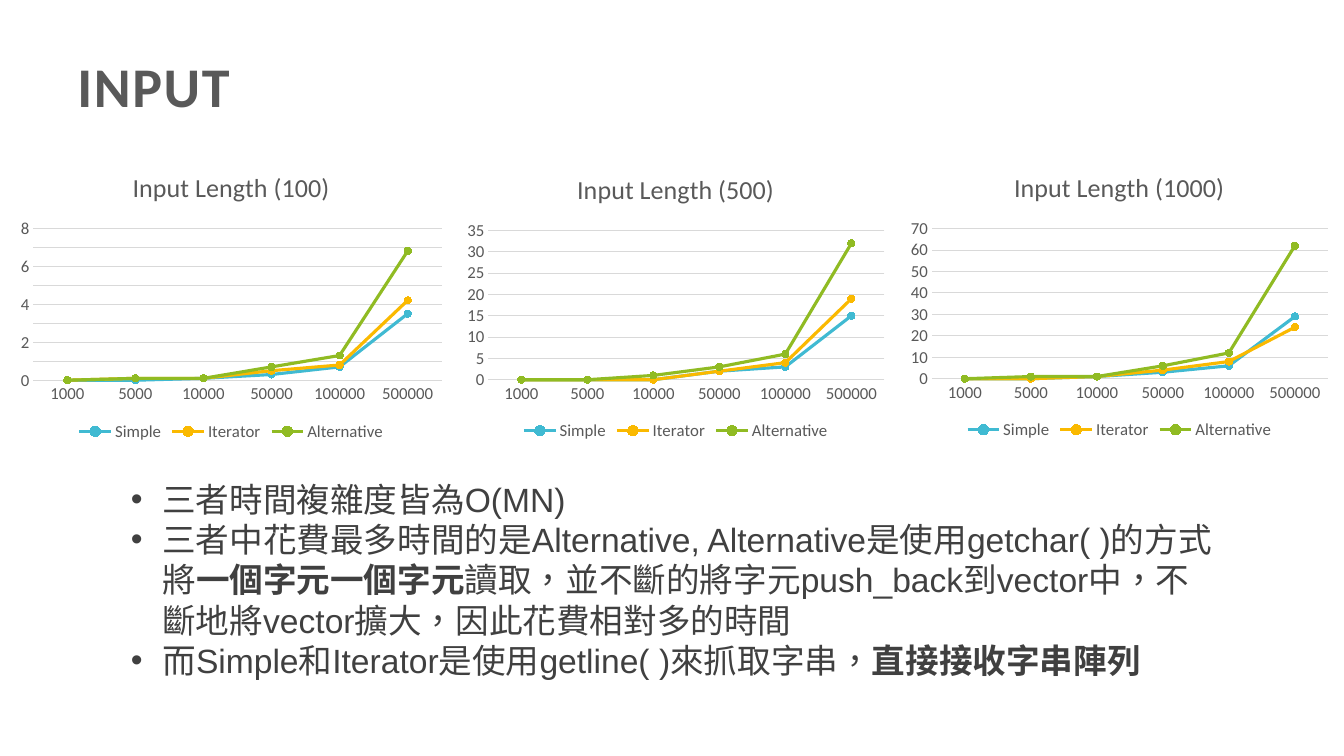
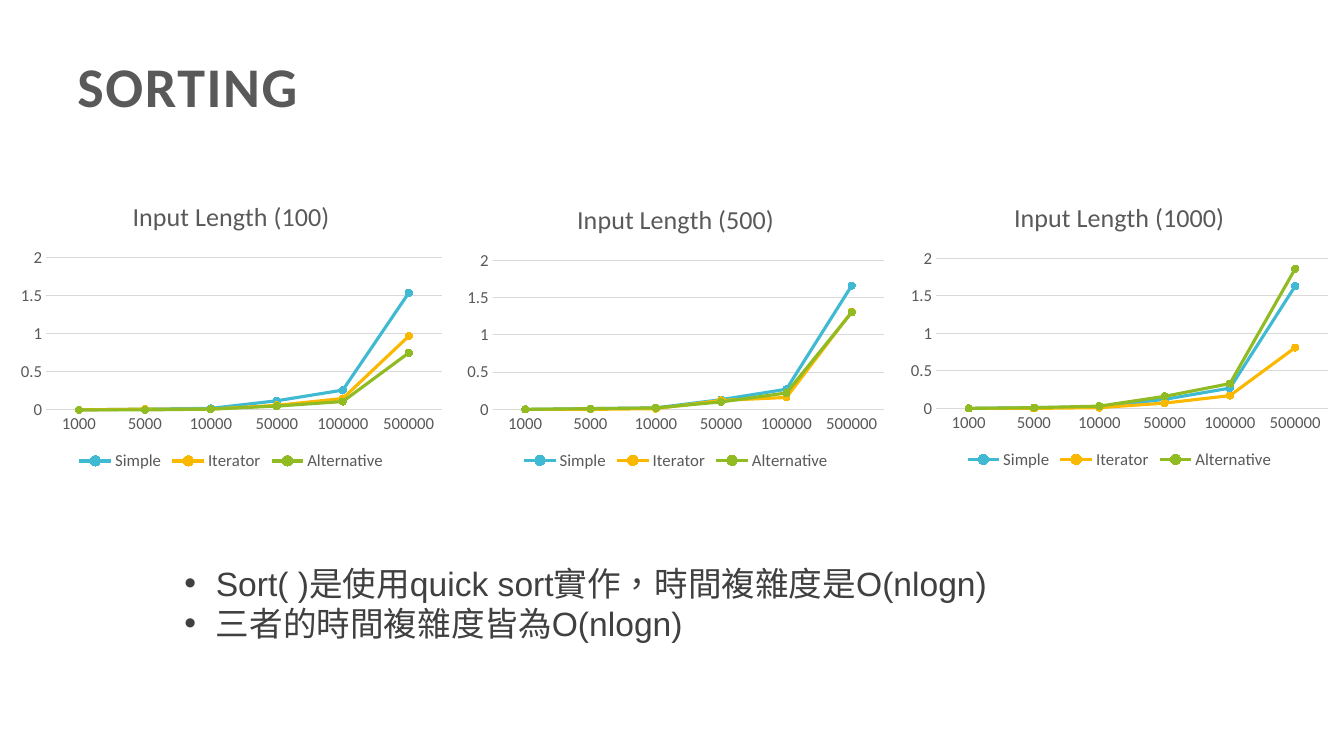
from lxml import etree
from pptx import Presentation
from pptx.chart.data import CategoryChartData
from pptx.dml.color import RGBColor
from pptx.enum import chart as chart_enum, lang, text
from pptx.oxml import ns
from pptx.util import Pt

GRAY = RGBColor(0x59, 0x59, 0x59)
DARK = RGBColor(0x40, 0x40, 0x40)
LIGHT = RGBColor(0xD9, 0xD9, 0xD9)
BLACK = RGBColor(0x00, 0x00, 0x00)
SERIES_COLORS = {
    "Simple": RGBColor(0x40, 0xBA, 0xD2),
    "Iterator": RGBColor(0xFA, 0xB9, 0x00),
    "Alternative": RGBColor(0x90, 0xBB, 0x23),
}
CATEGORIES = ["1000", "5000", "10000", "50000", "100000", "500000"]
# Input length, left, offset from the row's top, width, height
CHART_FRAMES = [
    (100, 8.6, 0, 313.2, 208.8),
    (500, 327.6, 1.8, 310.3, 206.6),
    (1000, 644.4, 0.3, 310.3, 207.4),
]

# Each chart: axis maximum, axis step, then Simple, Iterator and Alternative.
# Each bullet: runs of text, where every second run is bold.
SLIDES = [
    {
        "title": "INPUT",
        "chart_top": 109.3,
        "charts": [
            (8, 1, [(0, 0, 0.1, 0.3, 0.7, 3.5),
                    (0, 0.1, 0.1, 0.5, 0.8, 4.2),
                    (0, 0.1, 0.1, 0.7, 1.3, 6.8)]),
            (35, 5, [(0, 0, 0, 2, 3, 15),
                     (0, 0, 0, 2, 4, 19),
                     (0, 0, 1, 3, 6, 32)]),
            (70, 10, [(0, 0, 1, 3, 6, 29),
                      (0, 0, 1, 4, 8, 24),
                      (0, 1, 1, 6, 12, 62)]),
        ],
        "bullet_frame": (86.4, 338.4, 792.7, 152.6),
        "bullets": [
            ["三者時間複雜度皆為O(MN)"],
            ["三者中花費最多時間的是Alternative, Alternative是使用getchar( )的方式將",
             "一個字元一個字元",
             "讀取，並不斷的將字元push_back到vector中，不斷地將vector擴大，因此花費相對多的時間"],
            ["而Simple和Iterator是使用getline( )來抓取字串，", "直接接收字串陣列"],
        ],
    },
    {
        "title": "SORTING",
        "chart_top": 130.5,
        "charts": [
            (2, 0.5, [(0, 0.01, 0.02, 0.12, 0.26, 1.54),
                      (0, 0.01, 0.01, 0.06, 0.15, 0.97),
                      (0, 0, 0.01, 0.05, 0.11, 0.75)]),
            (2, 0.5, [(0, 0.01, 0.02, 0.13, 0.27, 1.66),
                      (0, 0, 0.01, 0.12, 0.16, 1.31),
                      (0, 0.01, 0.02, 0.1, 0.22, 1.3)]),
            (2, 0.5, [(0, 0.01, 0.02, 0.12, 0.27, 1.63),
                      (0, 0, 0.01, 0.07, 0.17, 0.81),
                      (0, 0.01, 0.03, 0.16, 0.33, 1.86)]),
        ],
        "bullet_frame": (124.6, 398.2, 734.4, 65.5),
        "bullets": [
            ["Sort( )是使用quick sort實作，時間複雜度是O(nlogn)"],
            ["三者的時間複雜度皆為O(nlogn)"],
        ],
    },
]


def set_font(font, size, color, name="Calibri", bold=False):
    font.size, font.name, font.bold = Pt(size), name, bold
    font.color.rgb = color


def add_text(slide, frame, paragraphs, *, size, color, name, bold=False,
             spacing=0, bullet=None):
    """Add a text box; every second run of a paragraph is bold."""
    box = slide.shapes.add_textbox(*map(Pt, frame))
    text_frame = box.text_frame
    text_frame.word_wrap = True
    text_frame.auto_size = text.MSO_AUTO_SIZE.SHAPE_TO_FIT_TEXT
    for index, runs in enumerate(paragraphs):
        paragraph = text_frame.add_paragraph() if index else text_frame.paragraphs[0]
        if bullet:
            properties = paragraph._p.get_or_add_pPr()
            properties.set("marL", str(Pt(22.5)))
            properties.set("indent", str(-Pt(22.5)))
            etree.SubElement(properties, ns.qn("a:buFont")).set("typeface", "Arial")
            etree.SubElement(properties, ns.qn("a:buChar")).set("char", bullet)
        for position, words in enumerate(runs):
            run = paragraph.add_run()
            run.text = words
            set_font(run.font, size, color, name, bold or position % 2 == 1)
            run.font.language_id = lang.MSO_LANGUAGE_ID.TRADITIONAL_CHINESE
            if spacing:
                run._r.get_or_add_rPr().set("spc", str(round(spacing * 100)))


presentation = Presentation()
presentation.slide_width, presentation.slide_height = Pt(960), Pt(540)

for content in SLIDES:
    slide = presentation.slides.add_slide(presentation.slide_layouts[6])
    add_text(slide, (48.2, 33.1, 247.7, 55.4), [[content["title"]]],
             size=40, color=GRAY, name="Calibri", bold=True, spacing=1.2)

    # Row of line charts
    for frame, (maximum, step, rows) in zip(CHART_FRAMES, content["charts"]):
        length, left, offset, width, height = frame
        data = CategoryChartData()
        data.categories = CATEGORIES
        for name, values in zip(SERIES_COLORS, rows):
            data.add_series(name, values)
        chart = slide.shapes.add_chart(
            chart_enum.XL_CHART_TYPE.LINE_MARKERS, Pt(left),
            Pt(content["chart_top"] + offset), Pt(width), Pt(height), data).chart
        set_font(chart.font, 10, BLACK)

        # Title and legend
        chart.has_title = True
        title = chart.chart_title.text_frame
        title.text = f"Input Length ({length})"
        set_font(title.paragraphs[0].runs[0].font, 18.6, GRAY)
        chart.has_legend = True
        chart.legend.position = chart_enum.XL_LEGEND_POSITION.BOTTOM
        chart.legend.include_in_layout = False
        set_font(chart.legend.font, 12, GRAY)

        # Axes
        for axis in (chart.category_axis, chart.value_axis):
            axis.major_tick_mark = chart_enum.XL_TICK_MARK.NONE
            axis.minor_tick_mark = chart_enum.XL_TICK_MARK.NONE
            set_font(axis.tick_labels.font, 12, GRAY)
        value_axis = chart.value_axis
        value_axis.minimum_scale, value_axis.maximum_scale = 0, maximum
        value_axis.major_unit = step
        value_axis.format.line.fill.background()
        for line in (chart.category_axis.format.line,
                     value_axis.major_gridlines.format.line):
            line.color.rgb = LIGHT
            line.width = Pt(0.75)

        # Series
        chart.plots[0].vary_by_categories = False
        for series, color in zip(chart.plots[0].series, SERIES_COLORS.values()):
            series.smooth = False
            series.format.line.color.rgb = color
            series.format.line.width = Pt(2.25)
            marker = series.marker
            marker.style = chart_enum.XL_MARKER_STYLE.CIRCLE
            marker.size = 5
            marker.format.fill.solid()
            marker.format.fill.fore_color.rgb = color
            marker.format.line.color.rgb = color

    # Findings
    add_text(slide, content["bullet_frame"], content["bullets"],
             size=24, color=DARK, name="Arial", bullet="•")

presentation.save("out.pptx")
